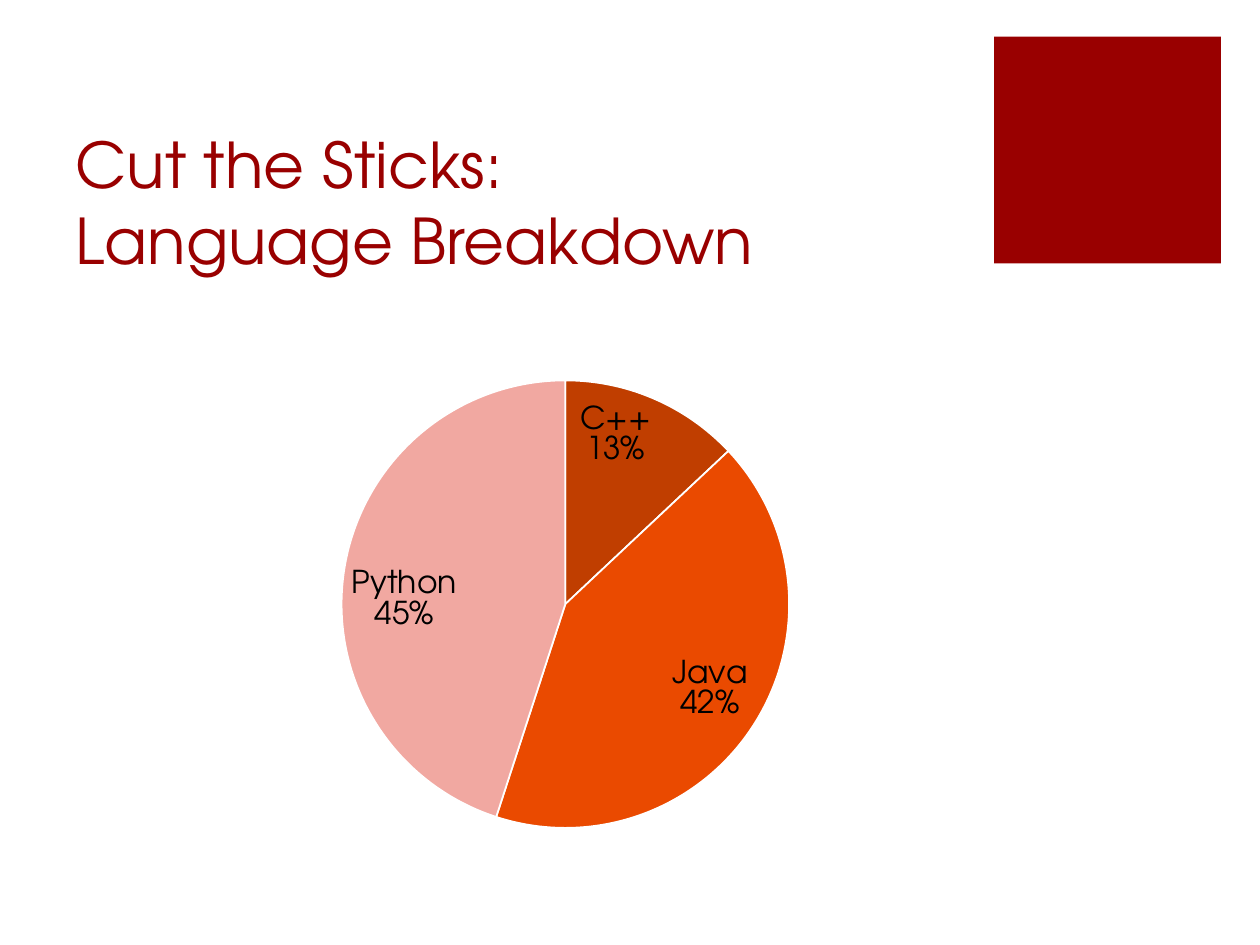
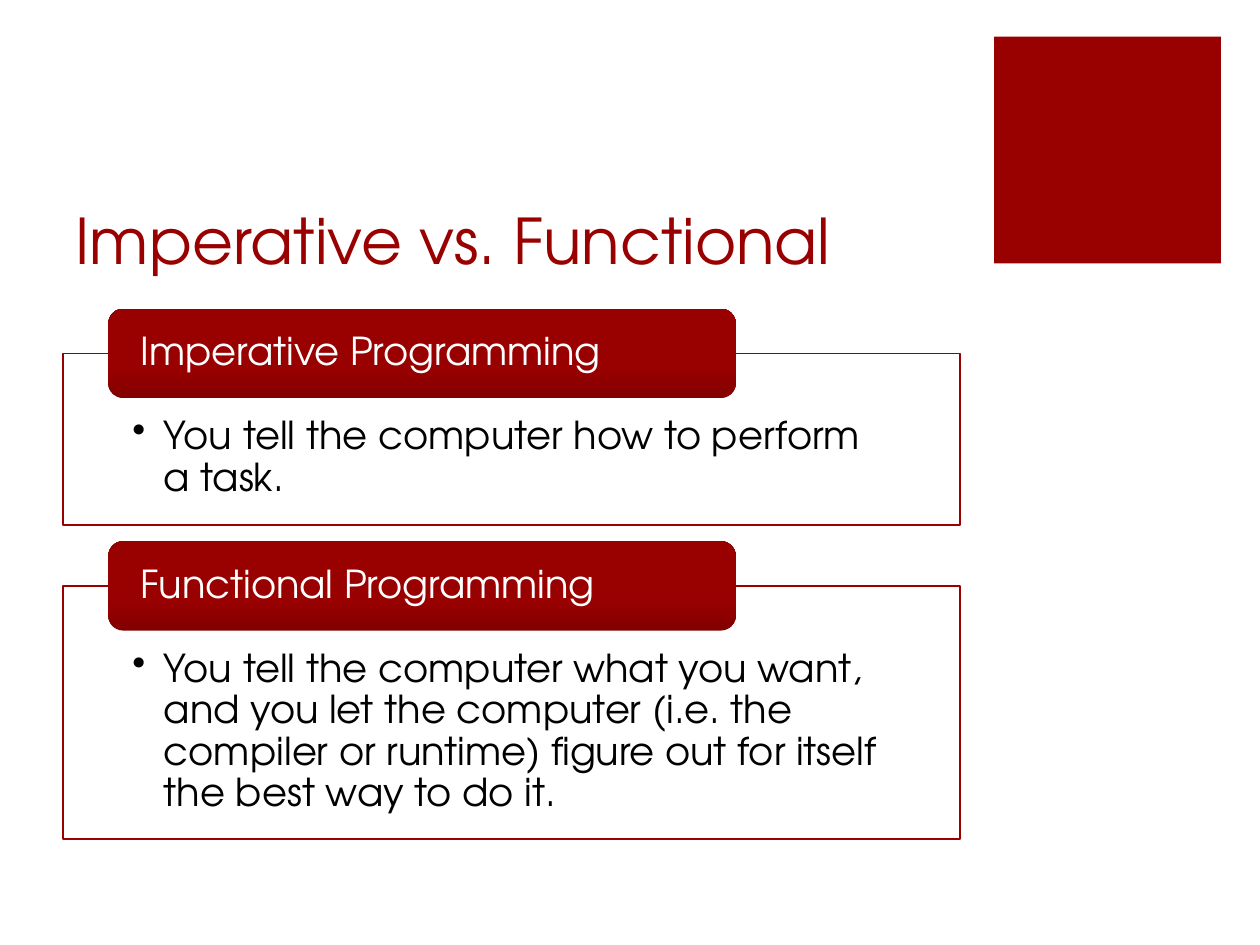
from dataclasses import dataclass

from lxml import etree
from pptx import Presentation
from pptx import util as u
from pptx.chart import data as chart_data
from pptx.dml import color
from pptx.enum import chart as charts, shapes, text
from pptx.oxml import ns

Inches, Pt, RGB = u.Inches, u.Pt, color.RGBColor.from_string


@dataclass(frozen=True)
class Theme:
    font: str = "TeX Gyre Adventor"
    accent: str = "990000"
    accent_dark: str = "830000"
    white: str = "FFFFFF"
    black: str = "000000"
    slices: tuple = ("C03E00", "EA4A00", "F1A8A1")
    title_size: int = 36
    body_size: int = 22
    label_size: int = 18


@dataclass(frozen=True)
class Box:
    left: float
    top: float
    width: float
    height: float

    def lengths(self):
        return [Inches(v) for v in (self.left, self.top, self.width, self.height)]


THEME = Theme()
SQUARE_BOX = Box(7.89, 0.29, 1.8, 1.8)
TITLE_BOX = Box(0.5, 1, 7.12, 1.25)
CHART_BOX = Box(0.5, 2.42, 7.12, 4.28)

LANGUAGES = {"C++": 13, "Java": 42, "Python": 45}

# Panel heading, text and height of its frame
PANELS = [
    ("Imperative Programming",
     "You tell the computer how to perform a task.", 1.36),
    ("Functional Programming",
     "You tell the computer what you want, and you let the computer "
     "(i.e. the compiler or runtime) figure out for itself the best way "
     "to do it.", 2.01),
]
PANELS_TOP, PANEL_GAP = 2.45, 0.13
TAB_INDENT, TAB_WIDTH, TAB_HEIGHT = 0.36, 4.98, 0.71


def style_font(font, size, rgb):
    font.name = THEME.font
    font.size = Pt(size)
    font.color.rgb = RGB(rgb)


def add_run(paragraph, words, size, rgb):
    run = paragraph.add_run()
    run.text = words
    style_font(run.font, size, rgb)


def add_plain_shape(container, kind, box):
    shape = container.add_shape(kind, *box.lengths())
    shape.shadow.inherit = False
    shape.line.fill.background()
    return shape


def prepare_text(shape, anchor, left, top, right, bottom):
    """Set wrapping, anchor and insets; return the first paragraph."""
    frame = shape.text_frame
    frame.word_wrap = True
    frame.auto_size = text.MSO_AUTO_SIZE.NONE
    frame.vertical_anchor = anchor
    frame.margin_left, frame.margin_right = Inches(left), Inches(right)
    frame.margin_top, frame.margin_bottom = Inches(top), Inches(bottom)
    paragraph = frame.paragraphs[0]
    paragraph.alignment = text.PP_ALIGN.LEFT
    return paragraph


def add_bullet(paragraph, indent):
    properties = paragraph._p.get_or_add_pPr()
    properties.set("marL", str(Inches(indent)))
    properties.set("indent", str(-Inches(indent)))
    etree.SubElement(properties, ns.qn("a:buChar")).set("char", "•")


def add_titled_slide(presentation, *title_lines):
    """Title-only slide with the accent square."""
    slide = presentation.slides.add_slide(
        presentation.slide_layouts.get_by_name("Title Only"))
    square = add_plain_shape(
        slide.shapes, shapes.MSO_SHAPE.RECTANGLE, SQUARE_BOX)
    square.fill.solid()
    square.fill.fore_color.rgb = RGB(THEME.accent)

    title = slide.shapes.title
    title.left, title.top, title.width, title.height = TITLE_BOX.lengths()
    paragraph = prepare_text(
        title, text.MSO_ANCHOR.BOTTOM, 0.1, 0.05, 0.1, 0.05)
    for number, line in enumerate(title_lines):
        if number:
            paragraph.add_line_break()
        add_run(paragraph, line, THEME.title_size, THEME.accent)
    return slide


def set_plot_layout(chart, **fractions):
    """Place the inner plot area by fractions of the chart."""
    plot_area = chart._chartSpace.chart.plotArea
    for old in plot_area.findall(ns.qn("c:layout")):
        plot_area.remove(old)
    layout = etree.Element(ns.qn("c:layout"))
    manual = etree.SubElement(layout, ns.qn("c:manualLayout"))
    settings = {"layoutTarget": "inner", "xMode": "edge", "yMode": "edge",
                **fractions}
    for name, value in settings.items():
        etree.SubElement(manual, ns.qn("c:" + name)).set("val", str(value))
    plot_area.insert(0, layout)


def add_language_pie(slide, box, shares):
    data = chart_data.CategoryChartData()
    data.categories = list(shares)
    data.add_series("Series 1", list(shares.values()))
    chart = slide.shapes.add_chart(
        charts.XL_CHART_TYPE.PIE, *box.lengths(), data).chart
    chart.has_title = False
    chart.has_legend = False
    style_font(chart.font, THEME.label_size, THEME.black)
    set_plot_layout(chart, x=0.31, y=0.14, w=0.5, h=0.83)

    # Slices
    plot = chart.plots[0]
    plot.vary_by_categories = True
    for number, rgb in enumerate(THEME.slices):
        piece = plot.series[0].points[number].format
        piece.fill.solid()
        piece.fill.fore_color.rgb = RGB(rgb)
        piece.line.color.rgb = RGB(THEME.white)
        piece.line.width = Pt(1)

    # Labels
    labels = plot.series[0].data_labels
    labels.show_category_name = True
    labels.show_percentage = True
    labels.show_value = False
    labels.position = charts.XL_LABEL_POSITION.INSIDE_END
    labels.number_format = "0%"
    labels.number_format_is_linked = False
    style_font(labels.font, THEME.label_size, THEME.black)
    separator = etree.Element(ns.qn("c:separator"))
    separator.text = "\n"
    labels._element.find(ns.qn("c:showBubbleSize")).addnext(separator)


def add_panel(group, box, heading, words):
    """Outlined frame whose top edge runs behind the middle of a tab."""
    rise = TAB_HEIGHT / 2
    frame = add_plain_shape(
        group.shapes, shapes.MSO_SHAPE.RECTANGLE,
        Box(box.left, box.top + rise, box.width, box.height - rise))
    frame.fill.solid()
    frame.fill.fore_color.rgb = RGB(THEME.white)
    frame.line.color.rgb = RGB(THEME.accent)
    frame.line.width = Pt(1)
    paragraph = prepare_text(
        frame, text.MSO_ANCHOR.TOP, 0.55, 0.5, 0.55, 0.17)
    paragraph.line_spacing = 0.9
    add_bullet(paragraph, 0.25)
    add_run(paragraph, words, THEME.body_size, THEME.black)

    # Tab, darker at its lower edge
    tab = add_plain_shape(
        group.shapes, shapes.MSO_SHAPE.ROUNDED_RECTANGLE,
        Box(box.left + TAB_INDENT, box.top, TAB_WIDTH, TAB_HEIGHT))
    tab.fill.gradient()
    tab.fill.gradient_angle = 90
    stops = ((0, THEME.accent_dark), (0.35, THEME.accent))
    for stop, (position, rgb) in zip(tab.fill.gradient_stops, stops):
        stop.position = position
        stop.color.rgb = RGB(rgb)
    paragraph = prepare_text(
        tab, text.MSO_ANCHOR.MIDDLE, 0.22, 0.03, 0.22, 0.03)
    paragraph.line_spacing = 0.9
    add_run(paragraph, heading, THEME.body_size, THEME.white)


def add_panels(slide, left, top, width, panels):
    group = slide.shapes.add_group_shape()
    for heading, words, frame_height in panels:
        height = frame_height + TAB_HEIGHT / 2
        add_panel(group, Box(left, top, width, height), heading, words)
        top += height + PANEL_GAP


def main():
    presentation = Presentation()
    presentation.slide_width = Inches(10)
    presentation.slide_height = Inches(7.5)

    slide = add_titled_slide(
        presentation, "Cut the Sticks:", "Language Breakdown")
    add_language_pie(slide, CHART_BOX, LANGUAGES)

    slide = add_titled_slide(presentation, "Imperative vs. Functional")
    add_panels(slide, TITLE_BOX.left, PANELS_TOP, TITLE_BOX.width, PANELS)

    presentation.save("out.pptx")


main()
